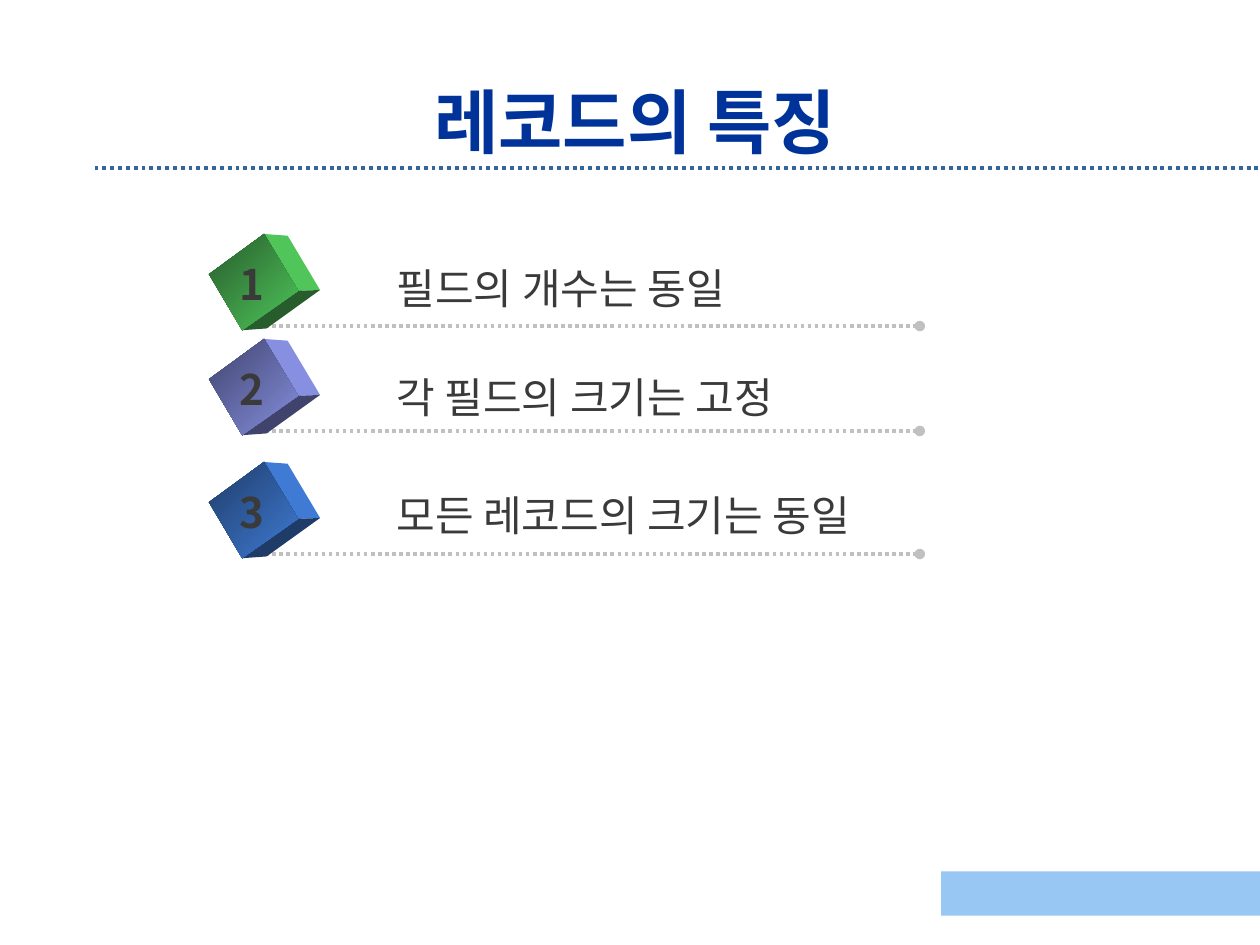
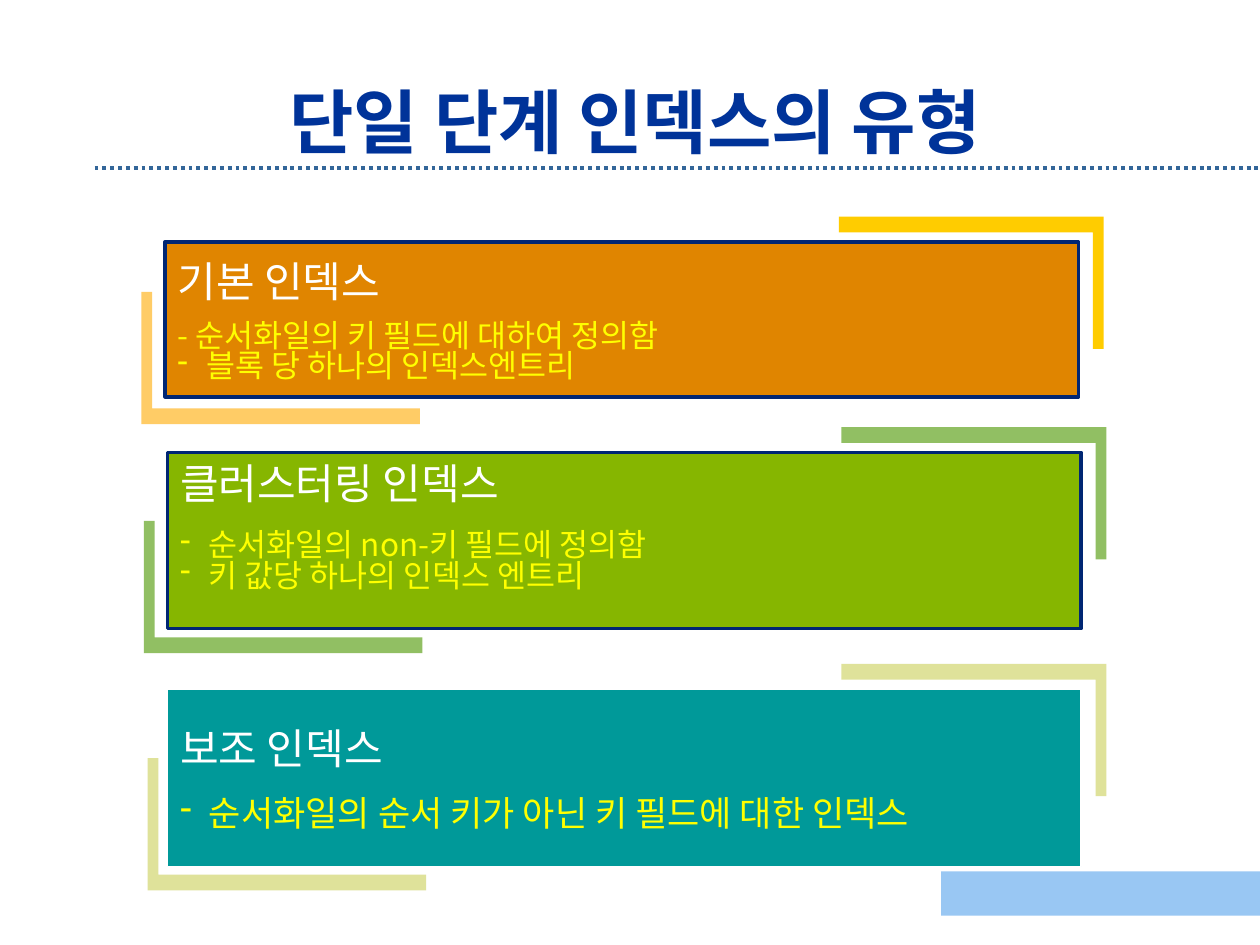
from lxml import etree
from pptx import Presentation
from pptx.dml.color import RGBColor
from pptx.enum import dml, shapes, text
from pptx.oxml.ns import qn
from pptx.util import Pt

FONT = "Noto Sans CJK KR"
WHITE = RGBColor(0xFF, 0xFF, 0xFF)
YELLOW = RGBColor(0xFF, 0xFF, 0x00)
INK = RGBColor(0x3A, 0x3A, 0x3A)
TITLE = RGBColor(0x00, 0x33, 0x99)
RULE = RGBColor(0x33, 0x66, 0x99)
BAND = RGBColor(0x99, 0xC7, 0xF3)
GREY = RGBColor(0xC0, 0xC0, 0xC0)
NAVY = RGBColor(0x00, 0x26, 0x73)
ORANGE = RGBColor(0xE0, 0x85, 0x00)
PEACH = RGBColor(0xFF, 0xCC, 0x66)
GOLD = RGBColor(0xFF, 0xCC, 0x00)
LIME = RGBColor(0x86, 0xB6, 0x00)
LEAF = RGBColor(0x91, 0xBF, 0x63)
TEAL = RGBColor(0x00, 0x99, 0x99)
CREAM = RGBColor(0xDF, 0xE2, 0x9A)

# Bright side, dark base
GREEN = RGBColor(0x4F, 0xC5, 0x5A), RGBColor(0x27, 0x5C, 0x2C)
VIOLET = RGBColor(0x86, 0x8F, 0xE0), RGBColor(0x40, 0x44, 0x6C)
BLUE = RGBColor(0x3F, 0x7B, 0xD4), RGBColor(0x1F, 0x3C, 0x68)

FRONT = (0, 23), (31.5, 0), (51, 32.5), (19, 55)
SIDE = (31.5, 0), (45, 1), (63.5, 32), (51, 32.5)
BASE = (19, 55), (51, 32.5), (63.5, 32), (33, 54)


def write(frame, words, size=24, color=INK, bold=False, align=None,
          before=0, spacing=None, bullet=False):
    """Fill the empty first paragraph, or add one after the others."""
    para = frame.paragraphs[0]
    if para.runs:
        para = frame.add_paragraph()
    if bullet:
        props = para._p.get_or_add_pPr()
        props.set("marL", str(Pt(16.5)))
        props.set("indent", str(-Pt(16.5)))
        etree.SubElement(props, qn("a:buChar"), char="-")
    para.alignment = align
    if before:
        para.space_before = Pt(before)
    para.line_spacing = spacing
    run = para.add_run()
    run.text = words
    font = run.font
    font.name, font.size, font.bold = FONT, Pt(size), bold
    font.color.rgb = color
    etree.SubElement(font._element, qn("a:ea"), typeface=FONT)


class Deck:
    """Holds the presentation, its style and the current slide."""

    def __init__(self):
        self.show = Presentation()
        self.show.slide_width, self.show.slide_height = Pt(720), Pt(540)

    def page(self, title):
        self.slide = self.show.slides.add_slide(self.show.slide_layouts[6])
        self.items = self.slide.shapes
        self.line(54, 720, 96, RULE, 2.25)
        self.rect(537.8, 498, 182.6, 25.2, BAND)
        self.label(54, 48.2, 617.8, 41.8, title, wrap=True, size=40,
                   color=TITLE, bold=True, align=text.PP_ALIGN.CENTER)

    def line(self, left, right, y, color, width, dot=False):
        link = self.items.add_connector(
            shapes.MSO_CONNECTOR.STRAIGHT, Pt(left), Pt(y), Pt(right), Pt(y))
        link.line.color.rgb = color
        link.line.width = Pt(width)
        link.line.dash_style = dml.MSO_LINE.ROUND_DOT
        if dot:
            etree.SubElement(link.line._get_or_add_ln(), qn("a:tailEnd"),
                             type="oval")
        etree.SubElement(link._element.spPr, qn("a:effectLst"))

    def rect(self, x, y, wide, high, fill, edge=None, width=0.75):
        box = self.items.add_shape(shapes.MSO_SHAPE.RECTANGLE,
                                   Pt(x), Pt(y), Pt(wide), Pt(high))
        box.shadow.inherit = False
        box.fill.solid()
        box.fill.fore_color.rgb = fill
        if edge is None:
            box.line.fill.background()
        else:
            box.line.color.rgb = edge
            box.line.width = Pt(width)
        return box

    def label(self, x, y, wide, high, words, wrap=False, **style):
        box = self.items.add_textbox(Pt(x), Pt(y), Pt(wide), Pt(high))
        frame = box.text_frame
        frame.word_wrap = wrap
        frame.vertical_anchor = text.MSO_ANCHOR.MIDDLE
        write(frame, words, **style)

    def outline(self, x, y, points, fill, shade=None):
        """Draw a closed shape; shade starts a diagonal gradient to fill."""
        spots = [(Pt(x + dx), Pt(y + dy)) for dx, dy in points]
        pen = self.items.build_freeform(*spots[0])
        pen.add_line_segments(spots[1:], close=True)
        form = pen.convert_to_shape()
        form.shadow.inherit = False
        form.line.fill.background()
        if shade is None:
            form.fill.solid()
            form.fill.fore_color.rgb = fill
        else:
            form.fill.gradient()
            form.fill.gradient_angle = 315
            for stop, color in zip(form.fill.gradient_stops, (shade, fill)):
                stop.color.rgb = color

    def cube(self, x, y, bright, dark):
        self.outline(x, y, SIDE, bright)
        self.outline(x, y, BASE, dark)
        self.outline(x, y, FRONT, bright, shade=dark)

    def item(self, number, words, y, top, wide, tones):
        """Draw a numbered point whose dotted line lies at y."""
        self.line(147.6, 525.6, y, GREY, 2, dot=True)
        self.cube(119.4, y - 52.6, *tones)
        self.label(219.6, top, wide, 36.7, words)
        self.label(129.6, y - 42.5, 29.5, 36.7, str(number), bold=True)

    def corner(self, x, y, wide, sign, fill):
        """Draw an L from its outer corner; sign 1 opens up and right."""
        points = ((0, 0), (wide, 0), (wide, -9), (6.2, -9), (6.2, -75.6),
                  (0, -75.6))
        self.outline(x, y, [(sign * dx, sign * dy) for dx, dy in points], fill)

    def panel(self, x, y, high, fill, edge, width, low, high_tone, low_tone,
              head, notes, size, gap, inset=3.6):
        """Draw a framed box; low is the outer corner of its lower L."""
        self.corner(*low, 159.1, 1, low_tone)
        self.corner(x + 536.4, y - 14.4, 151.4, -1, high_tone)
        box = self.rect(x, y, 522, high, fill, edge, width)
        frame = box.text_frame
        frame.word_wrap = True
        frame.vertical_anchor = text.MSO_ANCHOR.MIDDLE
        frame.margin_bottom = Pt(inset)
        left = text.PP_ALIGN.LEFT
        write(frame, head, color=WHITE, align=left)
        for rank, note in enumerate(notes):
            write(frame, note, size=size, color=YELLOW, align=left,
                  before=0 if rank else gap, spacing=0.8,
                  bullet=not note.startswith("-"))


def main():
    deck = Deck()
    deck.page("레코드의 특징")
    points = (
        ("필드의 개수는 동일", 186.3, 146.2, 224.6, GREEN),
        ("각 필드의 크기는 고정", 246.3, 208.1, 257, VIOLET),
        ("모든 레코드의 크기는 동일", 316.6, 275.8, 305.3, BLUE),
    )
    for number, point in enumerate(points, 1):
        deck.item(number, *point)

    deck.page("단일 단계 인덱스의 유형")
    deck.panel(94.3, 138.2, 88.6, ORANGE, NAVY, 2, (80.8, 242.4), GOLD, PEACH,
               "기본 인덱스",
               ["- 순서화일의 키 필드에 대하여 정의함",
                "블록 당 하나의 인덱스엔트리"], 18, 10)
    deck.panel(95.8, 258.5, 100.8, LIME, NAVY, 2, (82.2, 373.2), LEAF, LEAF,
               "클러스터링 인덱스",
               ["순서화일의 non-키 필드에 정의함",
                "키 값당 하나의 인덱스 엔트리"], 18, 14, inset=20.8)
    deck.panel(95.8, 393.8, 101.5, TEAL, WHITE, 0.75, (84.4, 508.8),
               CREAM, CREAM, "보조 인덱스",
               ["순서화일의 순서 키가 아닌 키 필드에 대한 인덱스"], 20, 15.4)
    deck.show.save("out.pptx")


if __name__ == "__main__":
    main()
